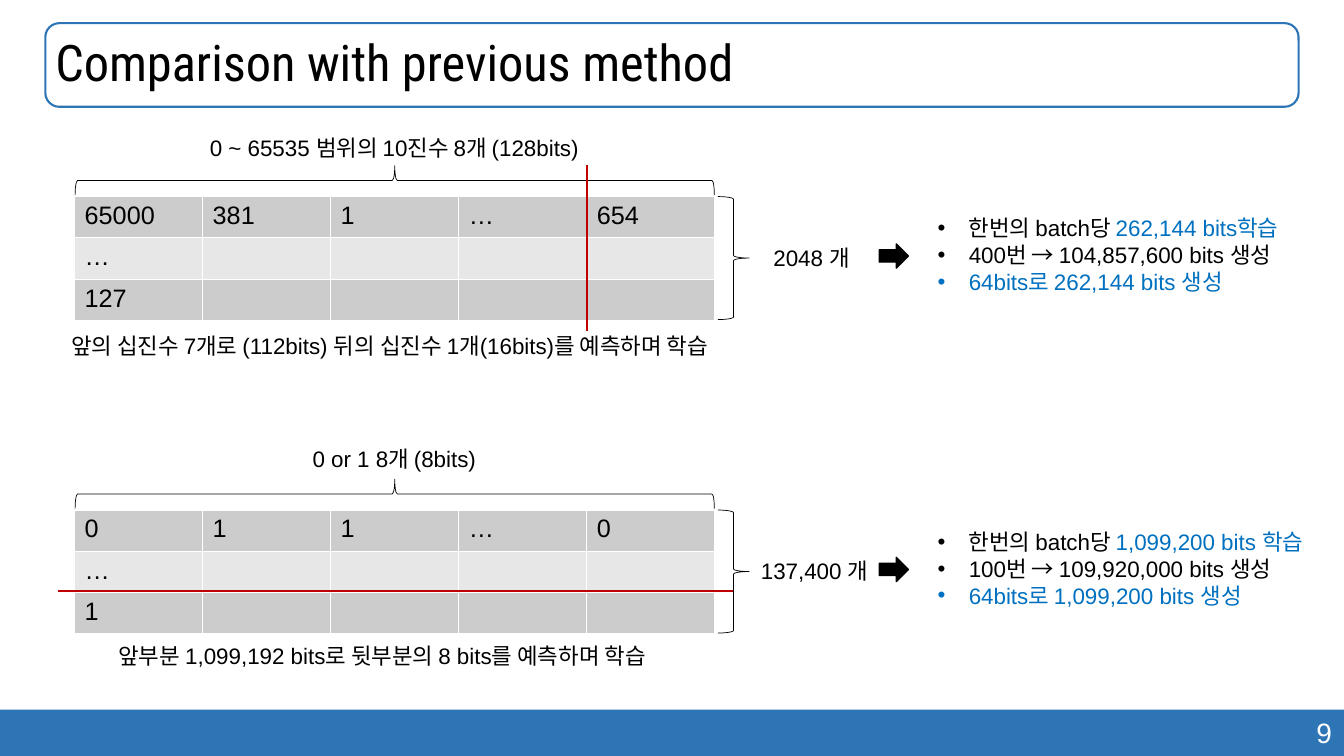
from dataclasses import dataclass

from lxml import etree
from pptx import Presentation
from pptx.dml.color import RGBColor
from pptx.enum import shapes, text
from pptx.oxml import ns
from pptx.util import Pt

PX = 9144  # 100 px to the inch


@dataclass(frozen=True)
class Theme:
    blue: str = "2E75B6"
    accent: str = "0070C0"
    red: str = "C00000"
    black: str = "000000"
    white: str = "FFFFFF"
    bands: tuple = ("CCCCCC", "E7E7E7")
    body_font: str = "Arial"
    title_font: str = "Roboto Condensed"
    title: int = 36
    number: int = 20
    cell: int = 18
    body: int = 16


THEME = Theme()


def px(*lengths):
    return [length * PX for length in lengths]


def rgb(color):
    return RGBColor.from_string(color)


def format_runs(paragraph, size, color=THEME.black, font=THEME.body_font):
    paragraph.font.size = Pt(size)
    for run in paragraph.runs:
        run.font.size = Pt(size)
        run.font.name = font
        run.font.color.rgb = rgb(color)


def add_text_box(slide, box):
    text_frame = slide.shapes.add_textbox(*px(*box)).text_frame
    text_frame.word_wrap = True
    return text_frame


def add_label(slide, box, words, size=THEME.body, color=THEME.black,
              align=text.PP_ALIGN.CENTER):
    text_frame = add_text_box(slide, box)
    text_frame.text = words
    paragraph = text_frame.paragraphs[0]
    paragraph.alignment = align
    format_runs(paragraph, size, color)


def add_shape(slide, kind, box, fill=None, line=None, weight=1, rotation=0):
    shape = slide.shapes.add_shape(kind, *px(*box))
    shape.shadow.inherit = False
    shape.rotation = rotation
    if fill:
        shape.fill.solid()
        shape.fill.fore_color.rgb = rgb(fill)
    else:
        shape.fill.background()
    if line:
        shape.line.color.rgb = rgb(line)
        shape.line.width = Pt(weight)
    else:
        shape.line.fill.background()


def add_brace(slide, box, rotation):
    add_shape(slide, shapes.MSO_SHAPE.LEFT_BRACE, box, line=THEME.black,
              weight=0.5, rotation=rotation)


def add_split_line(slide, *ends):
    line = slide.shapes.add_connector(shapes.MSO_CONNECTOR.STRAIGHT, *px(*ends))
    line.line.color.rgb = rgb(THEME.red)
    line.line.width = Pt(1.5)
    etree.SubElement(line._element.spPr, ns.qn("a:effectLst"))


def add_cell_borders(cell):
    properties = cell._tc.get_or_add_tcPr()
    for index, side in enumerate(("lnL", "lnR", "lnT", "lnB")):
        border = etree.Element(ns.qn(f"a:{side}"), w=str(Pt(1)))
        fill = etree.SubElement(border, ns.qn("a:solidFill"))
        etree.SubElement(fill, ns.qn("a:srgbClr"), val=THEME.white)
        properties.insert(index, border)


def add_data_table(slide, left, top, rows, columns=5):
    """Draw a banded grid; cells missing at the end of a row stay empty."""
    table = slide.shapes.add_table(
        len(rows), columns, *px(left, top, 127 * columns, 41 * len(rows))).table
    table.first_row = table.horz_banding = False
    for row_index, values in enumerate(rows):
        for column_index in range(columns):
            cell = table.cell(row_index, column_index)
            cell.text = values[column_index] if column_index < len(values) else ""
            cell.fill.solid()
            cell.fill.fore_color.rgb = rgb(THEME.bands[row_index % 2])
            add_cell_borders(cell)
            format_runs(cell.text_frame.paragraphs[0], THEME.cell)


def add_bullets(slide, box, items):
    """Write bulleted items, each a list of (words, color) runs."""
    text_frame = add_text_box(slide, box)
    for index, runs in enumerate(items):
        paragraph = text_frame.add_paragraph() if index else text_frame.paragraphs[0]
        properties = paragraph._p.get_or_add_pPr()
        properties.set("marL", str(31 * PX))
        properties.set("indent", str(-31 * PX))
        etree.SubElement(properties, ns.qn("a:buFont"), typeface=THEME.body_font)
        etree.SubElement(properties, ns.qn("a:buChar"), char="•")
        for words, color in runs:
            run = paragraph.add_run()
            run.text = words
        format_runs(paragraph, THEME.body)
        for run, (words, color) in zip(paragraph.runs, runs):
            run.font.color.rgb = rgb(color)


def add_method(slide, top, rows, count, count_box, learned, generated, sampled):
    """Draw one method: table, braces, row count, arrow and results."""
    add_data_table(slide, 74, top, rows)
    add_brace(slide, (377, top - 333, 29, 634), 90)
    add_brace(slide, (712, top, 31, 122), 180)
    count_left, count_width = count_box
    add_label(slide, (count_left, top + 42, count_width, 37), count)
    add_shape(slide, shapes.MSO_SHAPE.RIGHT_ARROW, (872, top + 47, 29, 24),
              fill=THEME.black, line=THEME.black)
    add_bullets(slide, (920, top + 13, 411, 94), [
        [("한번의 batch당 ", THEME.black), (learned, THEME.accent)],
        [(generated, THEME.black)],
        [(sampled, THEME.accent)],
    ])


def add_frame(slide, title, number):
    add_shape(slide, shapes.MSO_SHAPE.RECTANGLE, (0, 704, 1333, 46), fill=THEME.blue)
    add_label(slide, (941, 705, 390, 44), number, THEME.number, THEME.white,
              text.PP_ALIGN.RIGHT)
    title_box = (45, 23, 1243, 83)
    add_shape(slide, shapes.MSO_SHAPE.ROUNDED_RECTANGLE, title_box,
              line=THEME.blue, weight=1.5)
    text_frame = add_text_box(slide, title_box)
    text_frame.vertical_anchor = text.MSO_ANCHOR.MIDDLE
    text_frame.text = title
    paragraph = text_frame.paragraphs[0]
    paragraph.line_spacing = 0.9
    format_runs(paragraph, THEME.title, font=THEME.title_font)


def main():
    presentation = Presentation()
    presentation.slide_width, presentation.slide_height = px(1333, 750)
    slide = presentation.slides.add_slide(presentation.slide_layouts[6])
    add_frame(slide, "Comparison with previous method", "9")

    add_method(slide, 195, [["65000", "381", "1", "…", "654"], ["…"], ["127"]],
               "2048 개", (756, 98), "262,144 bits학습",
               "400번 → 104,857,600 bits 생성", "64bits로 262,144 bits 생성")
    add_label(slide, (162, 128, 458, 37), "0 ~ 65535 범위의 10진수 8개 (128bits)")
    add_split_line(slide, 582, 164, 582, 328)
    add_label(slide, (28, 325, 717, 37),
              "앞의 십진수 7개로 (112bits) 뒤의 십진수 1개(16bits)를 예측하며 학습")

    add_method(slide, 506, [["0", "1", "1", "…", "0"], ["…"], ["1"]],
               "137,400 개", (743, 130), "1,099,200 bits 학습",
               "100번 → 109,920,000 bits 생성", "64bits로 1,099,200 bits 생성")
    add_label(slide, (162, 437, 458, 37), "0 or 1 8개 (8bits)")
    add_split_line(slide, 727, 586, 58, 586)
    add_label(slide, (73, 632, 612, 37),
              "앞부분 1,099,192 bits로 뒷부분의 8 bits를 예측하며 학습")

    presentation.save("out.pptx")


if __name__ == "__main__":
    main()
